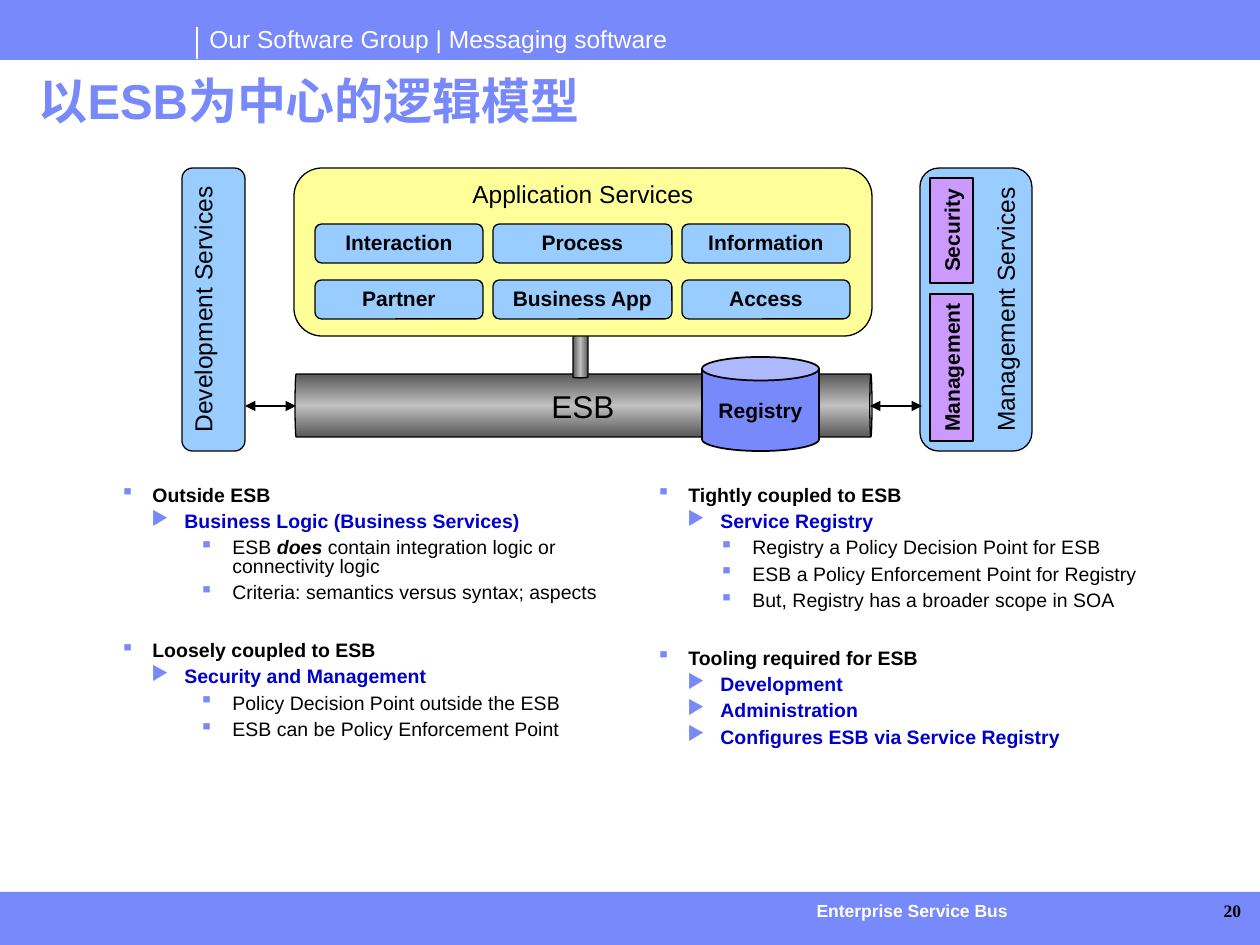
from copy import deepcopy

from lxml import etree
from pptx import Presentation
from pptx.dml.color import RGBColor
from pptx.enum.shapes import MSO_CONNECTOR, MSO_SHAPE
from pptx.enum.text import MSO_ANCHOR, PP_ALIGN
from pptx.oxml.ns import qn
from pptx.util import Emu, Pt

RECT, ROUND, CAN = MSO_SHAPE.RECTANGLE, MSO_SHAPE.ROUNDED_RECTANGLE, MSO_SHAPE.CAN
TOP, MIDDLE, BOTTOM = MSO_ANCHOR.TOP, MSO_ANCHOR.MIDDLE, MSO_ANCHOR.BOTTOM
LEFT, CENTER, RIGHT = PP_ALIGN.LEFT, PP_ALIGN.CENTER, PP_ALIGN.RIGHT
STRAIGHT = MSO_CONNECTOR.STRAIGHT

PX = 914400 / 126
C = {
    "brand": "7889FB", "white": "FFFFFF", "black": "000000", "link": "0000CC",
    "service": "99CCFF", "policy": "CC99FF", "app": "FFFF99",
    "steel": "585858", "shine": "C0C0C0",
}
RGB = {name: RGBColor.from_string(value) for name, value in C.items()}

prs = Presentation()
prs.slide_width, prs.slide_height = Emu(round(1260 * PX)), Emu(round(945 * PX))
s = prs.slides.add_slide(prs.slide_layouts[5])


def write(sp, text, size, color="black", bold=False, align=CENTER, anchor=TOP,
          wrap=False, spacing=None, font="Arial"):
    """Put one formatted paragraph into a shape."""
    tf = sp.text_frame
    tf.word_wrap, tf.vertical_anchor = wrap, anchor
    p = tf.paragraphs[0]
    p.text, p.alignment, p.line_spacing = text, align, spacing
    f = p.runs[0].font
    f.name, f.size, f.bold, f.color.rgb = font, Pt(size), bold, RGB[color]


def add_box(kind, x, y, w, h, fill, line="black", turn=0):
    """Add a shape whose place is given as it shows after the turn."""
    if turn:
        x, y, w, h = x + (w - h) / 2, y + (h - w) / 2, h, w
    sp = s.shapes.add_shape(kind, *(round(v * PX) for v in (x, y, w, h)))
    sp.rotation, sp.shadow.inherit = turn, False
    sp.fill.solid()
    sp.fill.fore_color.rgb = RGB[fill]
    sp.line.color.rgb, sp.line.width = RGB[line], Pt(0.75)
    return sp


# Header and footer bands
for y, h in ((892, 53), (0, 60)):
    add_box(RECT, 0, y, 1260, h, "brand").line.fill.background()

captions = [
    (197, 18, 496, 43, "Our Software Group | Messaging software", 14, "white", False, LEFT, "Arial"),
    (714, 900, 396, 21, "Enterprise Service Bus", 10, "white", True, CENTER, "Arial"),
    (1148, 900, 93, 21, "20", 10, "black", True, RIGHT, "Times New Roman"),
]
for x, y, w, h, text, size, color, bold, align, font in captions:
    sp = s.shapes.add_textbox(*(round(v * PX) for v in (x, y, w, h)))
    write(sp, text, size, color, bold, align, wrap=align != LEFT, font=font)
    if align != LEFT:
        tf = sp.text_frame
        tf.margin_left = tf.margin_top = tf.margin_right = tf.margin_bottom = 0

title = s.shapes.title
title.left, title.top, title.width, title.height = (round(v * PX) for v in (26, 71, 1197, 66))
write(title, "以ESB为中心的逻辑模型", 28, "brand", True, LEFT, wrap=True, spacing=0.9)

# Bulleted columns: each line is (level, text), with * around stressed words
columns = [
    (108, 112, [
        (0, "Outside ESB"),
        (1, "Business Logic (Business Services)"),
        (2, "ESB *does* contain integration logic or connectivity logic"),
        (2, "Criteria: semantics versus syntax; aspects"),
        (0, "Loosely coupled to ESB"),
        (1, "Security and Management"),
        (2, "Policy Decision Point outside the ESB"),
        (2, "ESB can be Policy Enforcement Point"),
    ]),
    (644, 96, [
        (0, "Tightly coupled to ESB"),
        (1, "Service Registry"),
        (2, "Registry a Policy Decision Point for ESB"),
        (2, "ESB a Policy Enforcement Point for Registry"),
        (2, "But, Registry has a broader scope in SOA"),
        (0, "Tooling required for ESB"),
        (1, "Development"),
        (1, "Administration"),
        (1, "Configures ESB via Service Registry"),
    ]),
]
for x, deep_indent, lines in columns:
    sp = s.shapes.add_textbox(*(round(v * PX) for v in (x, 481, 518, 291)))
    tf = sp.text_frame
    tf.word_wrap = True
    for i, (level, text) in enumerate(lines):
        p = tf.add_paragraph() if i else tf.paragraphs[0]
        p.level = level
        pPr = p._p.get_or_add_pPr()
        pPr.set("marL", str(round((32, 64, deep_indent)[level] * PX)))
        pPr.set("indent", str(round((-32, -33, -33)[level] * PX)))
        bullet_color = etree.SubElement(pPr, qn("a:buClr"))
        etree.SubElement(bullet_color, qn("a:srgbClr"), val=C["brand"])
        etree.SubElement(pPr, qn("a:buChar"), char="▪▶▪"[level])
        p.line_spacing, p.space_after = 0.8, Pt(2.2)
        if i:
            p.space_before = Pt(2.2 if level else 20)
        for n, part in enumerate(text.split("*")):
            r = p.add_run()
            r.text = part
            f = r.font
            f.name, f.size = "Arial", Pt(11.1)
            f.bold, f.italic = level < 2 or n == 1, n == 1
            f.color.rgb = RGB["link" if level == 1 else "black"]

# Bus pipe and its stem
pipe = add_box(CAN, 295, 374, 577, 63, "steel", turn=90)
pipe.adjustments[0] = 0.035
write(pipe, "ESB", 18, anchor=MIDDLE)
pipe.text_frame._txBody.bodyPr.set("vert", "vert270")
stem = add_box(CAN, 573, 315, 15, 63, "steel")
stem.adjustments[0] = 0.1
for sp in (pipe, stem):
    sp.fill.gradient()
    sp.fill.gradient_angle = 0
    first, last = sp.fill.gradient_stops
    first.position, last.position = 0, 1
    first.color.rgb = last.color.rgb = RGB["steel"]
    edge = sp._element.spPr.find(".//" + qn("a:gs"))
    edge.addnext(deepcopy(edge))
    middle = sp.fill.gradient_stops[1]
    middle.position, middle.color.rgb = 0.5, RGB["shine"]

# Management side
management = add_box(ROUND, 920, 168, 112, 283, "service", turn=270)
write(management, "Management Services", 14, anchor=BOTTOM, spacing=0.9)
for y, h, text in ((178, 105, "Security"), (294, 147, "Management")):
    write(add_box(RECT, 930, y, 43, h, "policy", turn=270), text, 12, bold=True, anchor=MIDDLE)

# Application services
write(add_box(ROUND, 294, 168, 578, 168, "app"), "Application Services", 14, spacing=0.9)
services = [("Interaction", "Process", "Information"), ("Partner", "Business App", "Access")]
for row, names in enumerate(services):
    for (x, w), name in zip(((315, 168), (493, 179), (682, 168)), names):
        sp = add_box(ROUND, x, 224 + 56 * row, w, 39, "service")
        write(sp, name, 12, bold=True, anchor=MIDDLE, wrap=True, spacing=0.9)

registry = add_box(CAN, 702, 357, 117, 94, "brand")
registry.line.width = Pt(1)
write(registry, "Registry", 12, bold=True, anchor=MIDDLE)

development = add_box(ROUND, 182, 168, 63, 283, "service", turn=270)
write(development, "Development Services", 14, spacing=0.9)

# Header rule and the two-way arrows
rules = [
    (197, 27, 197, 59, "white", 0.75, False),
    (296, 406, 245, 406, "black", 1, True),
    (922, 406, 870, 406, "black", 1, True),
]
for x1, y1, x2, y2, color, width, arrows in rules:
    cn = s.shapes.add_connector(STRAIGHT, *(round(v * PX) for v in (x1, y1, x2, y2)))
    cn.line.color.rgb, cn.line.width = RGB[color], Pt(width)
    if arrows:
        ln = cn.line._get_or_add_ln()
        for end in ("a:headEnd", "a:tailEnd"):
            etree.SubElement(ln, qn(end), type="triangle")
    etree.SubElement(cn._element.spPr, qn("a:effectLst"))

prs.save("out.pptx")
